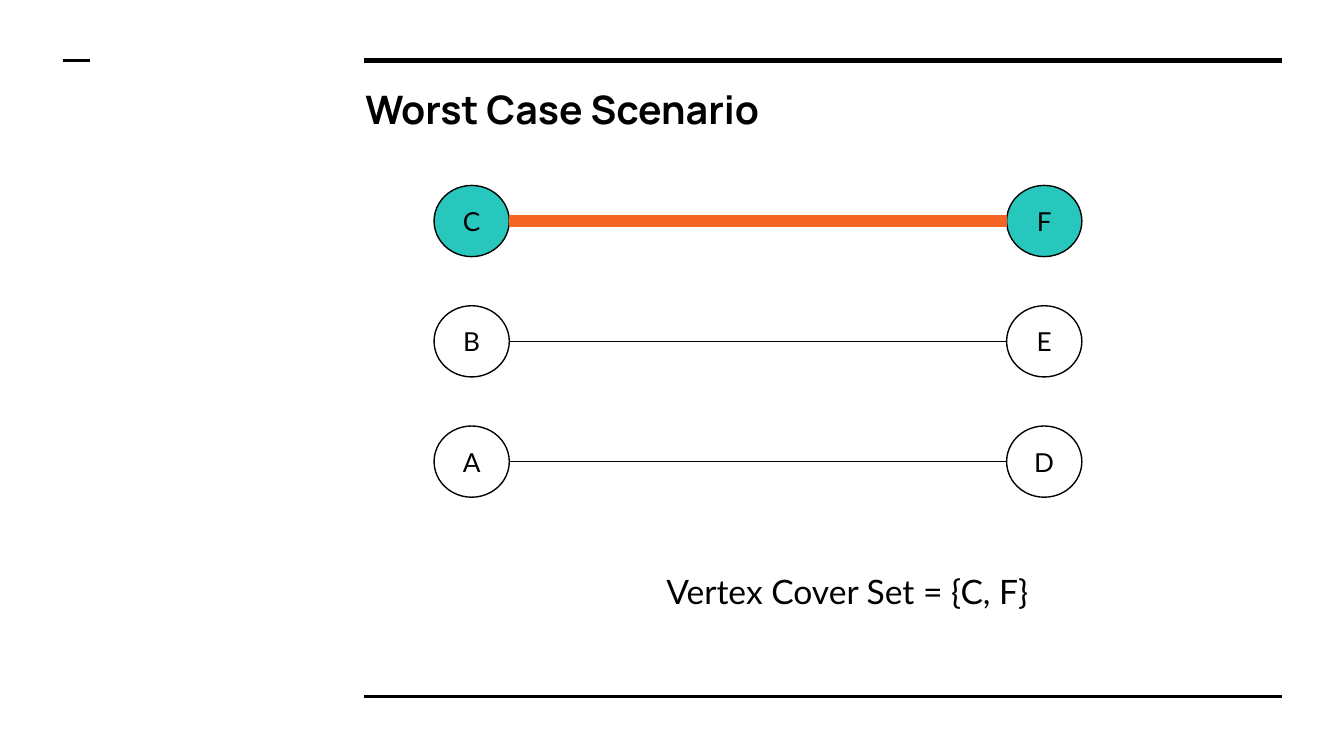
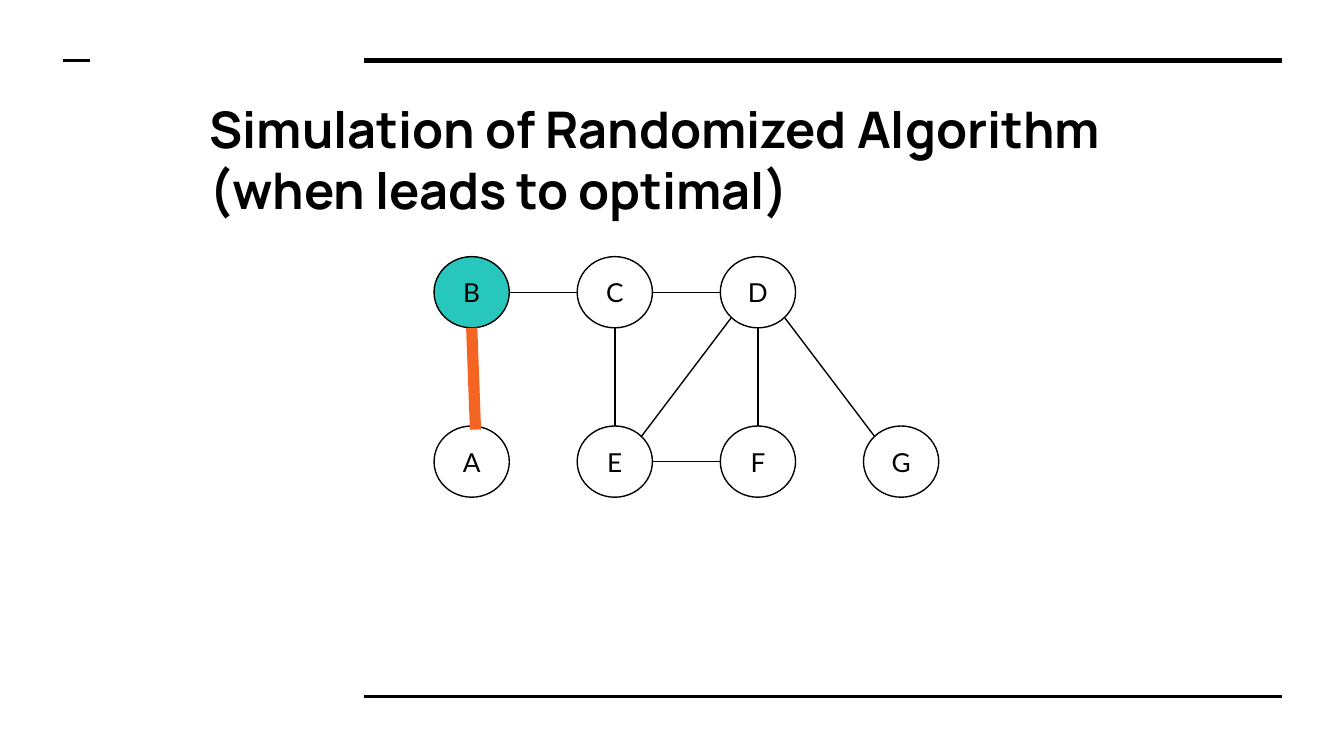
from lxml import etree
from pptx import Presentation
from pptx.dml.color import RGBColor
from pptx.enum.shapes import MSO_CONNECTOR, MSO_SHAPE
from pptx.enum.text import MSO_ANCHOR, PP_ALIGN
from pptx.oxml.ns import qn
from pptx.util import Inches, Pt

STRAIGHT = MSO_CONNECTOR.STRAIGHT
OVAL = MSO_SHAPE.OVAL
CENTER = PP_ALIGN.CENTER
TOP, MIDDLE = MSO_ANCHOR.TOP, MSO_ANCHOR.MIDDLE

COLORS = {"ink": "000000", "paper": "FFFFFF", "chosen": "27C7BD", "picked": "F46524"}
SLIDE_WIDTH = 10
SLIDE_SIZE = (SLIDE_WIDTH, SLIDE_WIDTH * 9 / 16)
NODE_SIZE = (0.56, 0.53)
GRID_COLUMNS = 5
MARGIN = 0.1
THIN, THICK = 0.75, 6

RULES = [((2.71, 0.45), (9.54, 0.45), 3),
         ((2.71, 5.18), (9.54, 5.18), 1.5),
         ((0.47, 0.45), (0.67, 0.45), 1.5)]

SITES = {"top": (0.5, 0), "bottom": (0.5, 1), "left": (0, 0.5), "right": (1, 0.5),
         "top left": (0.15, 0.15), "top right": (0.85, 0.15),
         "bottom left": (0.15, 0.85), "bottom right": (0.85, 0.85),
         "inside top": (0.55, 0.05)}

TITLE_FONT = {"name": "Manrope", "bold": True}
NODE_FONT = {"name": "Lato", "size": Pt(14)}
CAPTION_FONT = {"name": "Lato", "size": Pt(18)}

WORST_CASE = {
    "title": ["Worst Case Scenario"],
    "title_box": (2.62, 0.48, 6.91, 0.69),
    "title_size": 21,
    "title_spacing": {"line_spacing": 1.15, "space_after": Pt(12)},
    "graph_box": (3.23, 1.38, 4.82, 2.32),
    "rows": 3,
    "nodes": {"B": (0, 1), "A": (0, 2), "C": (0, 0),
              "D": (4, 2), "E": (4, 1), "F": (4, 0)},
    "chosen": "CF",
    "plain_fill": None,
    "edges": [("C", "right", "F", "left", "picked"),
              ("B", "right", "E", "left", "ink"),
              ("A", "right", "D", "left", "ink")],
    "caption": "Vertex Cover Set = {C, F}",
    "caption_box": (4.86, 4.15, 5.14, 0.5),
}

SIMULATION = {
    "title": ["Simulation of Randomized Algorithm", "(when leads to optimal)"],
    "title_box": (1.46, 0.63, 8.08, 0.69),
    "title_size": 27,
    "title_spacing": {},
    "graph_box": (3.23, 1.91, 4.82, 1.79),
    "rows": 2,
    "nodes": {"B": (0, 0), "A": (0, 1), "C": (1, 0), "E": (1, 1),
              "D": (2, 0), "F": (2, 1), "G": (3, 1)},
    "chosen": "B",
    "plain_fill": "paper",
    "edges": [("A", "inside top", "B", "bottom", "picked"),
              ("C", "right", "D", "left", "ink"),
              ("C", "bottom", "E", "top", "ink"),
              ("E", "right", "F", "left", "ink"),
              ("E", "top right", "D", "bottom left", "ink"),
              ("D", "bottom right", "G", "top left", "ink"),
              ("F", "top", "D", "bottom", "ink"),
              ("B", "right", "C", "left", "ink")],
}


def rgb(name):
    """Return the named colour."""
    return RGBColor.from_string(COLORS[name])


def apply_format(target, values):
    """Set every attribute listed in values on target."""
    for name, value in values.items():
        setattr(target, name, value)


def write_text(shape, lines, font, anchor=TOP, paragraph_format=None):
    """Fill a shape with one paragraph for each line."""
    frame = shape.text_frame
    margins = {f"margin_{side}": Inches(MARGIN) for side in ("left", "right", "top", "bottom")}
    apply_format(frame, {"word_wrap": True, "vertical_anchor": anchor, **margins})
    frame.text = "\n".join(lines)
    for paragraph in frame.paragraphs:
        apply_format(paragraph, paragraph_format or {})
        for run in paragraph.runs:
            apply_format(run.font, font)
            run.font.color.rgb = rgb("ink")


def add_text(slide, box, lines, font, paragraph_format=None):
    """Place a text box."""
    shape = slide.shapes.add_textbox(*map(Inches, box))
    write_text(shape, lines, font, paragraph_format=paragraph_format)


def add_line(slide, start, end, width, color="ink"):
    """Draw a straight line between two points."""
    line = slide.shapes.add_connector(STRAIGHT, *map(Inches, (*start, *end)))
    line.line.width = Pt(width)
    line.line.color.rgb = rgb(color)
    etree.SubElement(line._element.spPr, qn("a:effectLst"))


def add_node(slide, label, left, top, fill):
    """Draw one labelled vertex."""
    node = slide.shapes.add_shape(OVAL, *map(Inches, (left, top, *NODE_SIZE)))
    node.shadow.inherit = False
    if fill:
        node.fill.solid()
        node.fill.fore_color.rgb = rgb(fill)
    else:
        node.fill.background()
    node.line.color.rgb = rgb("ink")
    node.line.width = Pt(THIN)
    write_text(node, [label], NODE_FONT, MIDDLE, {"alignment": CENTER})


def add_graph(slide, box, content):
    """Lay out vertices on a grid inside box and join them with edges."""
    left, top, width, height = box
    node_width, node_height = NODE_SIZE
    column_step = (width - node_width) / (GRID_COLUMNS - 1)
    row_step = (height - node_height) / (content["rows"] - 1)
    corners = {label: (left + column * column_step, top + row * row_step)
               for label, (column, row) in content["nodes"].items()}

    def site_point(label, site):
        """Return the point of a named site on a vertex."""
        return tuple(corner + share * size for corner, share, size
                     in zip(corners[label], SITES[site], NODE_SIZE))

    for label, corner in corners.items():
        fill = "chosen" if label in content["chosen"] else content["plain_fill"]
        add_node(slide, label, *corner, fill)
    for start, start_site, end, end_site, color in content["edges"]:
        add_line(slide, site_point(start, start_site), site_point(end, end_site),
                 THICK if color == "picked" else THIN, color)


def add_graph_slide(presentation, content):
    """Build a slide with rules, a title, a graph and an optional caption."""
    slide = presentation.slides.add_slide(presentation.slide_layouts[6])
    slide.background.fill.solid()
    slide.background.fill.fore_color.rgb = rgb("paper")
    for start, end, width in RULES:
        add_line(slide, start, end, width)
    add_text(slide, content["title_box"], content["title"],
             {**TITLE_FONT, "size": Pt(content["title_size"])}, content["title_spacing"])
    add_graph(slide, content["graph_box"], content)
    if "caption" in content:
        add_text(slide, content["caption_box"], [content["caption"]], CAPTION_FONT)


def main():
    """Build and save the presentation."""
    presentation = Presentation()
    presentation.slide_width, presentation.slide_height = map(Inches, SLIDE_SIZE)
    for content in (WORST_CASE, SIMULATION):
        add_graph_slide(presentation, content)
    presentation.save("out.pptx")


if __name__ == "__main__":
    main()
